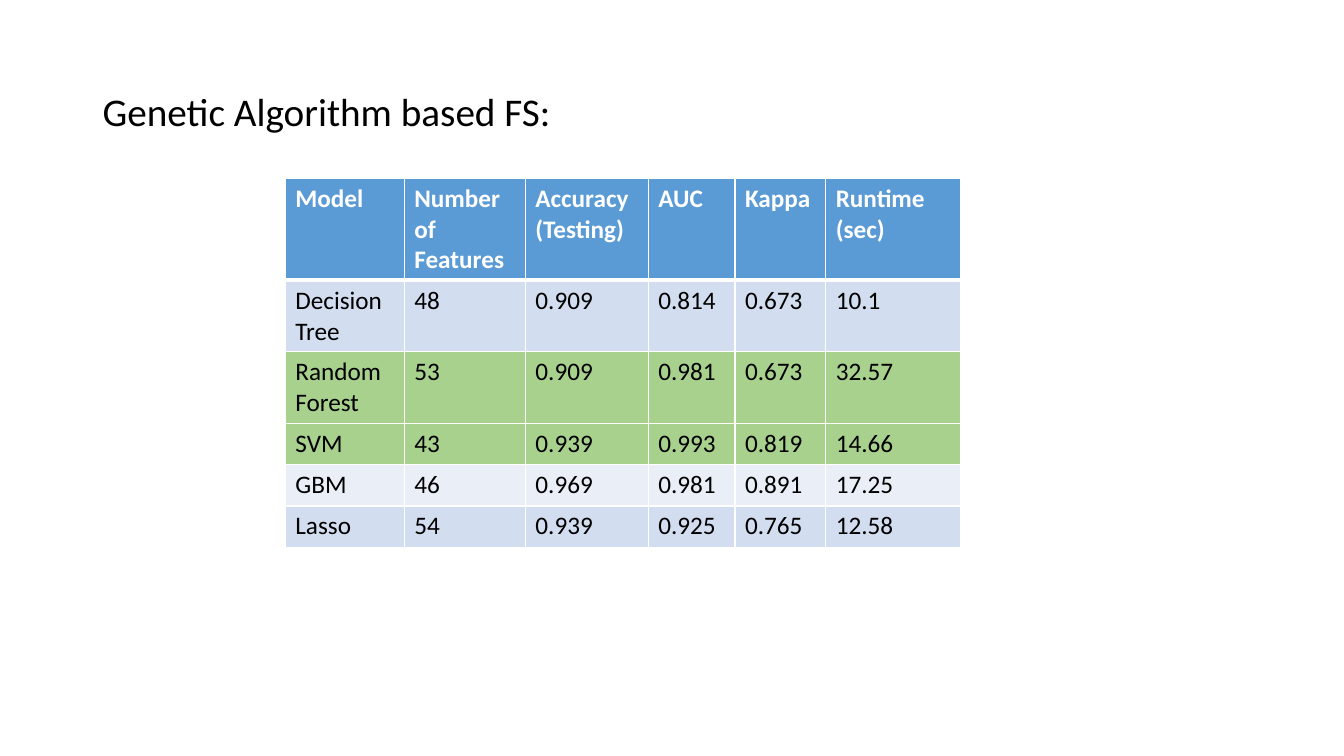
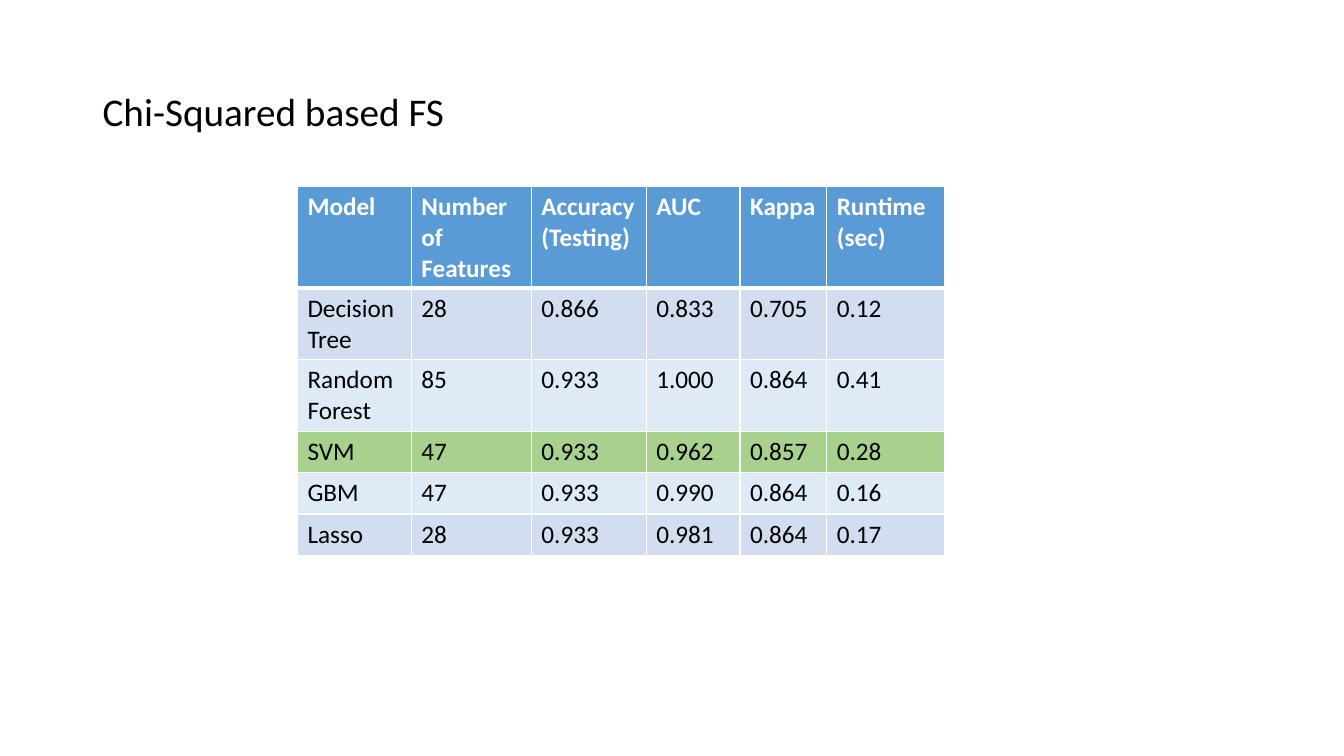
from pptx import Presentation
from pptx.dml.color import RGBColor
from pptx.enum.text import MSO_ANCHOR
from pptx.oxml import parse_xml
from pptx.oxml.ns import nsdecls
from pptx.util import Inches, Pt

FONT = "Calibri"
BLACK, WHITE = "000000", "FFFFFF"
BLUE, BAND, GREEN = "5B9BD5", "D2DEEF", "A9D18E"
GREY_BLUE, PALE_BLUE = "EAEFF7", "DEEBF7"

HEADER = ["Model", "Number of Features", "Accuracy (Testing)",
          "AUC", "Kappa", "Runtime (sec)"]
ROW_HEIGHTS = [1.01, 0.71, 0.71, 0.41, 0.41, 0.41]

SLIDES = [
    {
        "title": "Genetic Algorithm based FS:",
        "left": 2.83, "top": 1.77,
        "widths": [1.18, 1.2, 1.22, 0.86, 0.9, 1.34],
        "light": GREY_BLUE,
        "best": {"Random Forest", "SVM"},
        "rows": [
            ["Decision Tree", "48", "0.909", "0.814", "0.673", "10.1"],
            ["Random Forest", "53", "0.909", "0.981", "0.673", "32.57"],
            ["SVM", "43", "0.939", "0.993", "0.819", "14.66"],
            ["GBM", "46", "0.969", "0.981", "0.891", "17.25"],
            ["Lasso", "54", "0.939", "0.925", "0.765", "12.58"],
        ],
    },
    {
        "title": "Chi-Squared based FS",
        "left": 2.95, "top": 1.85,
        "widths": [1.13, 1.19, 1.14, 0.93, 0.86, 1.17],
        "light": PALE_BLUE,
        "best": {"SVM"},
        "rows": [
            ["Decision Tree", "28", "0.866", "0.833", "0.705", "0.12"],
            ["Random Forest", "85", "0.933", "1.000", "0.864", "0.41"],
            ["SVM", "47", "0.933", "0.962", "0.857", "0.28"],
            ["GBM", "47", "0.933", "0.990", "0.864", "0.16"],
            ["Lasso", "28", "0.933", "0.981", "0.864", "0.17"],
        ],
    },
]


def rgb(value):
    return RGBColor.from_string(value)


def add_run(p, text, size, color=BLACK, bold=False):
    r = p.add_run()
    r.text = text
    r.font.name = FONT
    r.font.size = Pt(size)
    r.font.bold = bold
    r.font.color.rgb = rgb(color)


def add_title(slide, text):
    box = slide.shapes.add_textbox(Inches(0.92), Inches(0.4),
                                   Inches(11.5), Inches(1.45))
    tf = box.text_frame
    tf.word_wrap = True
    tf.vertical_anchor = MSO_ANCHOR.MIDDLE
    p = tf.paragraphs[0]
    p.line_spacing = 0.9
    add_run(p, text, 28)


def set_borders(cell, top, bottom):
    """Draw white cell borders; top and bottom are widths in points."""
    tc_pr = cell._tc.get_or_add_tcPr()
    for side, width in (("L", 1), ("R", 1), ("T", top), ("B", bottom)):
        tc_pr.append(parse_xml(
            f'<a:ln{side} {nsdecls("a")} w="{Pt(width)}"><a:solidFill>'
            f'<a:srgbClr val="{WHITE}"/></a:solidFill></a:ln{side}>'))


def row_fill(index, model, data):
    if index == 0:
        return BLUE
    if model in data["best"]:
        return GREEN
    return BAND if index % 2 else data["light"]


def add_results(slide, data):
    rows = [HEADER] + data["rows"]
    widths = data["widths"]
    table = slide.shapes.add_table(
        len(rows), len(HEADER), Inches(data["left"]), Inches(data["top"]),
        Inches(sum(widths)), Inches(sum(ROW_HEIGHTS))).table
    for column, width in zip(table.columns, widths):
        column.width = Inches(width)
    for i, (values, height) in enumerate(zip(rows, ROW_HEIGHTS)):
        table.rows[i].height = Inches(height)
        is_header = i == 0
        fill = row_fill(i, values[0], data)
        for j, value in enumerate(values):
            cell = table.cell(i, j)
            set_borders(cell, 3 if i == 1 else 1, 3 if is_header else 1)
            cell.fill.solid()
            cell.fill.fore_color.rgb = rgb(fill)
            add_run(cell.text_frame.paragraphs[0], value, 18,
                    WHITE if is_header else BLACK, is_header)


def main():
    prs = Presentation()
    prs.slide_width, prs.slide_height = Inches(13.33), Inches(7.5)
    for data in SLIDES:
        slide = prs.slides.add_slide(prs.slide_layouts[6])
        add_title(slide, data["title"])
        add_results(slide, data)
    prs.save("out.pptx")


if __name__ == "__main__":
    main()
